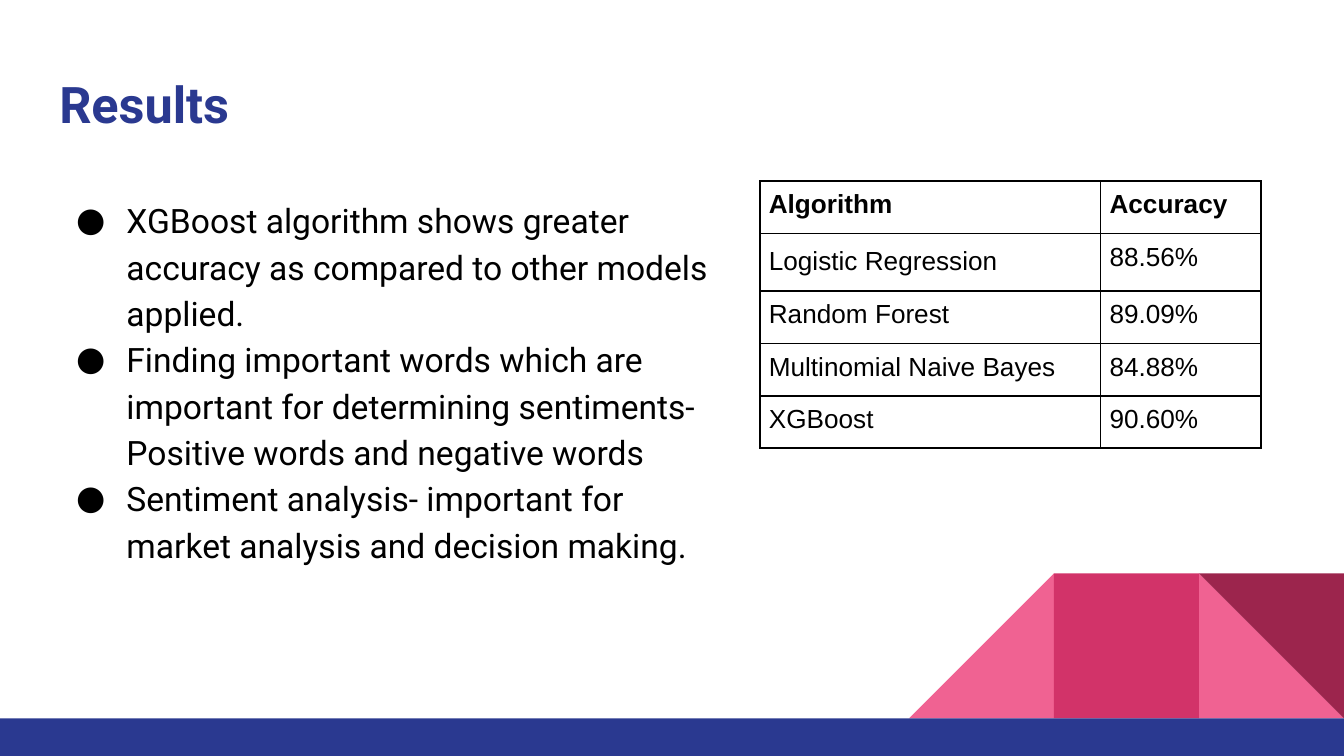
from lxml import etree
from pptx import Presentation
from pptx.dml.color import RGBColor
from pptx.enum.shapes import MSO_SHAPE
from pptx.enum.text import MSO_ANCHOR, MSO_AUTO_SIZE, PP_ALIGN
from pptx.oxml.ns import qn
from pptx.util import Cm, Pt

RECTANGLE, TRIANGLE = MSO_SHAPE.RECTANGLE, MSO_SHAPE.RIGHT_TRIANGLE
TOP, LEFT, NO_FIT = MSO_ANCHOR.TOP, PP_ALIGN.LEFT, MSO_AUTO_SIZE.NONE

COLORS = {
    "navy": "2A3990",
    "pink": "F06292",
    "rose": "D23369",
    "wine": "9C254D",
    "black": "000000",
}
PAGE_WIDTH, PAGE_HEIGHT = 25.4, 14.29
BAND_TOP = 13.58
TILE = 2.74

TITLE_FONT = {"name": "Roboto", "size": Pt(27), "bold": True}
BODY_FONT = {"name": "Roboto", "size": Pt(18), "bold": False}
HEAD_FONT = {"name": "Arial", "size": Pt(14), "bold": True}
CELL_FONT = {**HEAD_FONT, "bold": False}
PLAIN_PARA = {"alignment": LEFT, "space_before": Pt(0), "space_after": Pt(0)}
LOOSE_PARA = {**PLAIN_PARA, "line_spacing": 1.15}
FRAME = {"word_wrap": True, "auto_size": NO_FIT, "vertical_anchor": TOP}

BULLETS = [
    "XGBoost algorithm shows greater accuracy as compared to other models applied.",
    "Finding important words which are important for determining sentiments- "
    "Positive words and negative words",
    "Sentiment analysis- important for market analysis and decision making.",
]
ACCURACY = [
    ("Algorithm", "Accuracy"),
    ("Logistic Regression", "88.56%"),
    ("Random Forest", "89.09%"),
    ("Multinomial Naive Bayes", "84.88%"),
    ("XGBoost", "90.60%"),
]


def apply(target, values):
    for name, value in values.items():
        setattr(target, name, value)


def place(target, box):
    apply(target, dict(zip(("left", "top", "width", "height"), map(Cm, box))))


def set_margins(target, margin):
    for side in ("left", "right", "top", "bottom"):
        setattr(target, f"margin_{side}", Cm(margin))


def write(para, text, font, color, layout):
    apply(para, layout)
    span = para.add_run()
    span.text = text
    apply(span.font, font)
    span.font.color.rgb = RGBColor.from_string(COLORS[color])


def add_block(page, kind, box, color):
    block = page.shapes.add_shape(kind, *map(Cm, box))
    block.shadow.inherit = False
    block.fill.solid()
    block.fill.fore_color.rgb = RGBColor.from_string(COLORS[color])
    block.line.fill.background()
    return block


def add_decoration(page, box):
    left, top, width, height = box
    tiles = [
        (2, TRIANGLE, "pink", False, 0),
        (0, TRIANGLE, "pink", True, 0),
        (1, RECTANGLE, "rose", False, 0),
        (2, TRIANGLE, "wine", False, 180),
    ]
    side = width / 3
    for column, kind, color, flipped, rotation in tiles:
        tile_box = (left + column * side, top, side, height)
        tile = add_block(page, kind, tile_box, color)
        tile.rotation = rotation
        if flipped:
            tile.element.spPr.find(qn("a:xfrm")).set("flipH", "1")


def add_title(page, box):
    title = page.shapes.title
    place(title, box)
    apply(title.text_frame, FRAME)
    set_margins(title.text_frame, 0.25)
    write(title.text_frame.paragraphs[0], "Results", TITLE_FONT, "navy", PLAIN_PARA)


def add_bullet(para):
    props = para._p.get_or_add_pPr()
    props.set("marL", str(Cm(1.27)))
    props.set("indent", str(Cm(-0.95)))
    color = etree.SubElement(props, qn("a:buClr"))
    etree.SubElement(color, qn("a:srgbClr"), val=COLORS["black"])
    etree.SubElement(props, qn("a:buFont"), typeface="Roboto")
    etree.SubElement(props, qn("a:buChar"), char="●")


def add_findings(page, box):
    body = page.placeholders[1]
    place(body, box)
    frame = body.text_frame
    apply(frame, FRAME)
    set_margins(frame, 0.25)
    for index, text in enumerate(BULLETS):
        para = frame.add_paragraph() if index else frame.paragraphs[0]
        write(para, text, BODY_FONT, "black", LOOSE_PARA)
        add_bullet(para)


def add_borders(cell):
    props = cell._tc.get_or_add_tcPr()
    for side in ("lnL", "lnR", "lnT", "lnB"):
        line = etree.SubElement(props, qn(f"a:{side}"), w=str(Pt(1)))
        fill = etree.SubElement(line, qn("a:solidFill"))
        etree.SubElement(fill, qn("a:srgbClr"), val=COLORS["black"])


def add_accuracy_table(page, box):
    frame = page.shapes.add_table(len(ACCURACY), 2, *map(Cm, box))
    table = frame.table
    apply(table, {"first_row": False, "horz_banding": False})
    for column, share in zip(table.columns, (0.68, 0.32)):
        column.width = Cm(box[2] * share)
    for index, (row, texts) in enumerate(zip(table.rows, ACCURACY)):
        row.height = Cm(1.09 if index == 1 else 0.99)
        for cell, text in zip(row.cells, texts):
            set_margins(cell, 0.17)
            cell.vertical_anchor = TOP
            add_borders(cell)
            cell.fill.background()
            font = CELL_FONT if index else HEAD_FONT
            layout = LOOSE_PARA if text == "Logistic Regression" else PLAIN_PARA
            write(cell.text_frame.paragraphs[0], text, font, "black", layout)


def add_results_slide(deck):
    page = deck.slides.add_slide(deck.slide_layouts[1])
    add_decoration(page, (PAGE_WIDTH - 3 * TILE, BAND_TOP - TILE, 3 * TILE, TILE))
    band_box = (0, BAND_TOP, PAGE_WIDTH, PAGE_HEIGHT - BAND_TOP)
    add_block(page, RECTANGLE, band_box, "navy")
    add_title(page, (0.87, 1.13, 23.67, 1.68))
    add_findings(page, (0.87, 3.42, 13.3, 9.28))
    add_accuracy_table(page, (14.36, 3.42, 9.47, 5.05))


def main():
    deck = Presentation()
    apply(deck, {"slide_width": Cm(PAGE_WIDTH), "slide_height": Cm(PAGE_HEIGHT)})
    add_results_slide(deck)
    deck.save("out.pptx")


if __name__ == "__main__":
    main()
